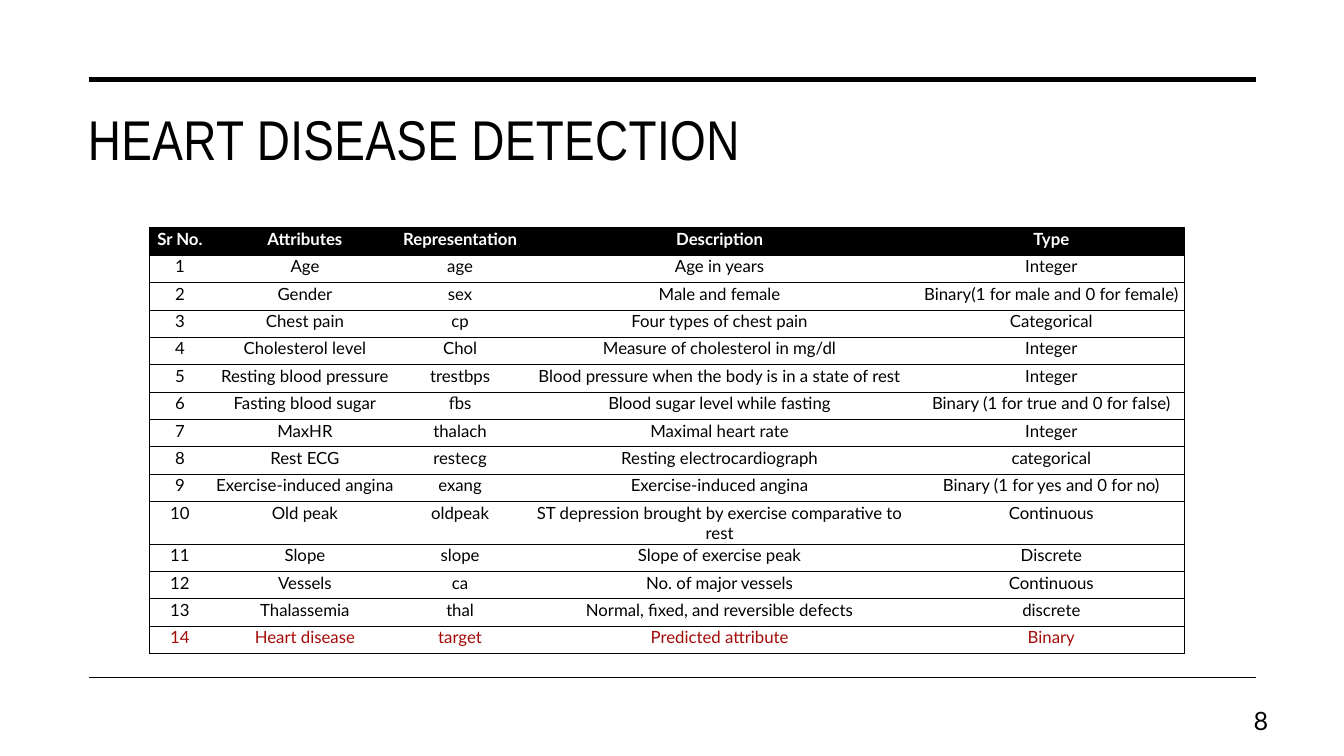
from pptx import Presentation
from pptx.dml.color import RGBColor
from pptx.enum.shapes import MSO_CONNECTOR
from pptx.enum.text import MSO_ANCHOR, MSO_AUTO_SIZE, PP_ALIGN
from pptx.oxml.ns import qn
from pptx.util import Cm, Pt
from lxml.etree import SubElement, Element

TITLE = "HEART DISEASE DETECTION"
PAGE_NUMBER = "8"
HEADER = ("Sr No.", "Attributes", "Representation", "Description", "Type")
ATTRIBUTES = [
    ("Age", "age", "Age in years", "Integer"),
    ("Gender", "sex", "Male and female", "Binary(1 for male and 0 for female)"),
    ("Chest pain", "cp", "Four types of chest pain", "Categorical"),
    ("Cholesterol level", "Chol", "Measure of cholesterol in mg/dl", "Integer"),
    ("Resting blood pressure", "trestbps",
     "Blood pressure when the body is in a state of rest", "Integer"),
    ("Fasting blood sugar", "fbs", "Blood sugar level while fasting",
     "Binary (1 for true and 0 for false)"),
    ("MaxHR", "thalach", "Maximal heart rate", "Integer"),
    ("Rest ECG", "restecg", "Resting electrocardiograph", "categorical"),
    ("Exercise-induced angina", "exang", "Exercise-induced angina",
     "Binary (1 for yes and 0 for no)"),
    ("Old peak", "oldpeak",
     "ST depression brought by exercise comparative to rest", "Continuous"),
    ("Slope", "slope", "Slope of exercise peak", "Discrete"),
    ("Vessels", "ca", "No. of major vessels", "Continuous"),
    ("Thalassemia", "thal", "Normal, fixed, and reversible defects", "discrete"),
    ("Heart disease", "target", "Predicted attribute", "Binary"),
]
COLORS = {"ink": "000000", "paper": "FFFFFF", "target": "A40B08"}
COLUMN_WIDTHS = (1.55, 4.75, 3.07, 10.01, 6.71)
ROW_HEIGHT = 0.69
RULES = [(2.01, 3.5), (17.07, 1)]  # height on the page in cm, weight in points


def write(frame, text, font="Lato", size=12, color="ink", bold=False,
          align=PP_ALIGN.CENTER, spacing=None):
    para = frame.paragraphs[0]
    para.alignment = align
    span = para.add_run()
    span.text = text
    span.font.name = font
    span.font.size = Pt(size)
    span.font.bold = bold
    span.font.color.rgb = RGBColor.from_string(COLORS[color])
    if spacing:
        span.font._element.set("spc", str(spacing))


def set_borders(cell, sides):
    """Draw thin lines on the given sides and clear the others."""
    properties = cell._tc.get_or_add_tcPr()
    for position, side in enumerate("LRTB"):
        line = Element(qn(f"a:ln{side}"), w=str(Pt(0.5)))
        if side in sides:
            fill = SubElement(line, qn("a:solidFill"))
            SubElement(fill, qn("a:srgbClr"), val=COLORS["ink"])
        else:
            SubElement(line, qn("a:noFill"))
        properties.insert(position, line)


deck = Presentation()
deck.slide_width, deck.slide_height = Cm(33.87), Cm(19.05)
page = deck.slides.add_slide(deck.slide_layouts[5])

# Title
title = page.shapes.title
title.left, title.top, title.width, title.height = Cm(1.96), Cm(2.51), Cm(29.69), Cm(3.2)
title.text_frame.vertical_anchor = MSO_ANCHOR.TOP
title.text_frame.auto_size = MSO_AUTO_SIZE.NONE
write(title.text_frame, TITLE, font="Arial Narrow", size=40,
      align=PP_ALIGN.LEFT, spacing=30)

# Rules above and below the content
for height, weight in RULES:
    rule = page.shapes.add_connector(
        MSO_CONNECTOR.STRAIGHT, Cm(2.24), Cm(height), Cm(31.65), Cm(height))
    rule.line.color.rgb = RGBColor.from_string(COLORS["ink"])
    rule.line.width = Pt(weight)
    SubElement(rule._element.spPr, qn("a:effectLst"))

# Attribute table
rows = [HEADER] + [(str(number), *entry) for number, entry in enumerate(ATTRIBUTES, 1)]
table = page.shapes.add_table(
    len(rows), len(HEADER), Cm(3.76), Cm(5.74),
    Cm(sum(COLUMN_WIDTHS)), Cm(ROW_HEIGHT * len(rows))).table
table.horz_banding = False
for column, width in zip(table.columns, COLUMN_WIDTHS):
    column.width = Cm(width)
last_row, last_column = len(rows) - 1, len(HEADER) - 1
for r, row in enumerate(rows):
    table.rows[r].height = Cm(ROW_HEIGHT)
    is_header = r == 0
    color = "paper" if is_header else "target" if r == last_row else "ink"
    for c, text in enumerate(row):
        cell = table.cell(r, c)
        cell.margin_left = cell.margin_right = Cm(0.03)
        cell.margin_top = cell.margin_bottom = Cm(0.03)
        cell.fill.solid()
        cell.fill.fore_color.rgb = RGBColor.from_string(
            COLORS["ink" if is_header else "paper"])
        write(cell.text_frame, text, color=color, bold=is_header)
        set_borders(cell, "TB" + "L" * (c == 0) + "R" * (c == last_column))

# Page number
box = page.shapes.add_textbox(Cm(30.33), Cm(17.65), Cm(1.88), Cm(1.02))
box.text_frame.word_wrap = True
box.text_frame.vertical_anchor = MSO_ANCHOR.MIDDLE
write(box.text_frame, PAGE_NUMBER, size=18, align=PP_ALIGN.RIGHT)

deck.save("out.pptx")
